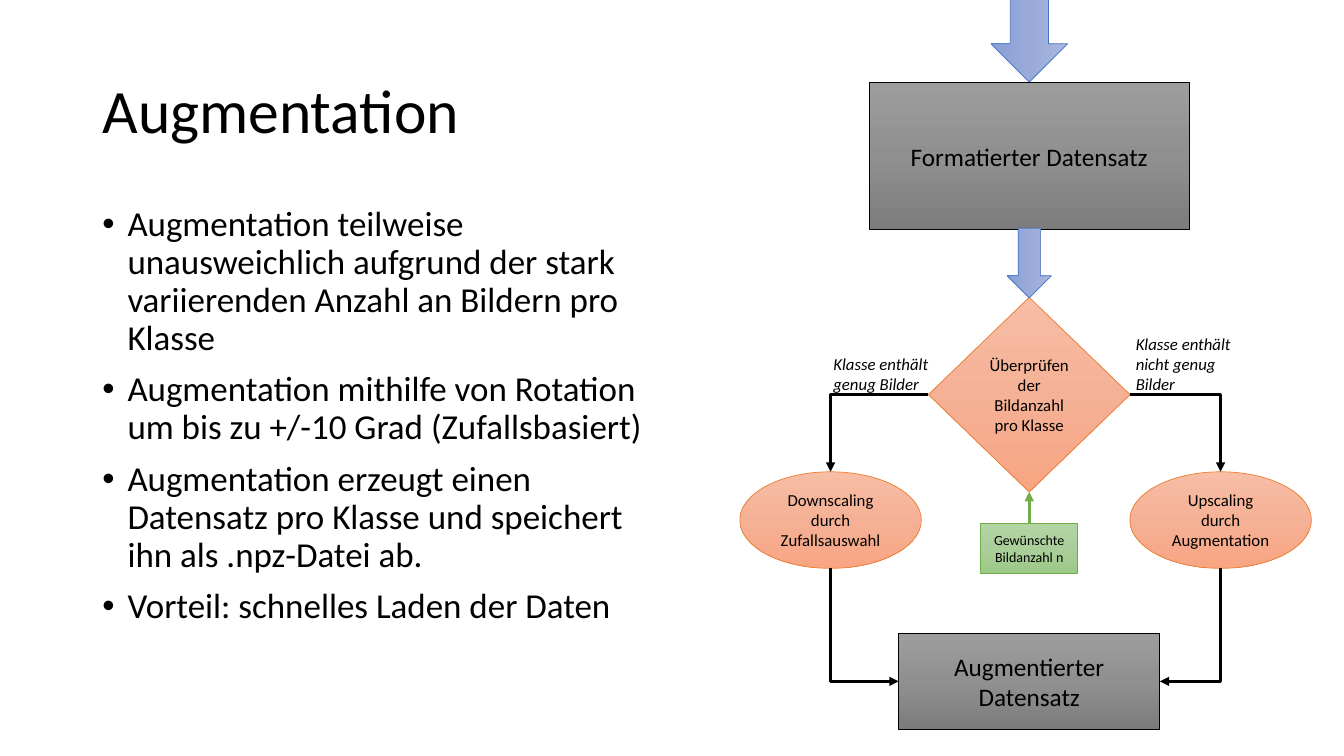
from copy import deepcopy
from lxml.etree import SubElement
from pptx import Presentation
from pptx.dml.color import RGBColor
from pptx.enum.shapes import MSO_CONNECTOR, MSO_SHAPE
from pptx.enum.text import MSO_ANCHOR, PP_ALIGN
from pptx.oxml.ns import qn
from pptx.util import Pt


def paint(code):
    return RGBColor.from_string(code)


class Chart:
    font = "Calibri"
    ink = "000000"
    looks = {
        "blue": (("A8B7DF", "9AABD9", "889ED7"), "4472C4"),
        "gray": (("9D9D9D", "909090", "7C7C7C"), "000000"),
        "coral": (("F7BDA5", "F5B196", "F8A582"), "ED7D31"),
        "green": (("B5D5A7", "AACE9A", "9CC987"), "70AD47"),
    }

    def __init__(self, slide):
        self.slide = slide

    def letter(self, frame, lines, size, align=PP_ALIGN.LEFT, slant=False):
        frame.word_wrap = True
        frame.text = "\n".join(lines)
        for para in frame.paragraphs:
            para.alignment = align
            for run in para.runs:
                run.font.name = self.font
                run.font.size = Pt(size)
                run.font.italic = slant
                run.font.color.rgb = paint(self.ink)

    def title(self, text, left, top, wide, high):
        box = self.slide.shapes.title
        box.left, box.top, box.width, box.height = Pt(left), Pt(top), Pt(wide), Pt(high)
        self.letter(box.text_frame, [text], 44)
        box.text_frame.vertical_anchor = MSO_ANCHOR.MIDDLE
        box.text_frame.paragraphs[0].line_spacing = 0.9

    def label(self, lines, left, top, wide, high, size=12, slant=True):
        box = self.slide.shapes.add_textbox(Pt(left), Pt(top), Pt(wide), Pt(high))
        self.letter(box.text_frame, lines, size, slant=slant)
        return box

    def bullets(self, lines, left, top, wide, high):
        box = self.label(lines, left, top, wide, high, 25, False)
        for para in box.text_frame.paragraphs:
            para.line_spacing = 0.9
            para.space_before = Pt(10)
            props = para._p.get_or_add_pPr()
            props.set("marL", str(Pt(18)))
            props.set("indent", str(Pt(-18)))
            SubElement(props, qn("a:buFont")).set("typeface", "Arial")
            SubElement(props, qn("a:buChar")).set("char", "•")

    def node(self, kind, look, mid, top, wide, high, text="", size=12, turn=0):
        shape = self.slide.shapes.add_shape(
            kind, Pt(mid - wide / 2), Pt(top), Pt(wide), Pt(high))
        shape.rotation = turn
        shape.shadow.inherit = False
        tints, edge = self.looks[look]
        shape.fill.gradient()
        shape.fill.gradient_angle = 270
        stops = shape._element.spPr.find(".//" + qn("a:gsLst"))
        stops.insert(1, deepcopy(stops[0]))
        for stop, tint, place in zip(shape.fill.gradient_stops, tints, (0, 0.5, 1)):
            stop.color.rgb = paint(tint)
            stop.position = place
        shape.line.color.rgb = paint(edge)
        shape.line.width = Pt(0.5)
        if text:
            self.letter(shape.text_frame, [text], size, PP_ALIGN.CENTER)
            shape.text_frame.vertical_anchor = MSO_ANCHOR.MIDDLE
        return shape

    def arrow(self, kind, start, end, color):
        line = self.slide.shapes.add_connector(kind, *map(Pt, start + end))
        line.line.color.rgb = paint(color)
        line.line.width = Pt(2.25)
        props = line._element.spPr
        SubElement(props.find(qn("a:ln")), qn("a:tailEnd")).set("type", "triangle")
        SubElement(props, qn("a:effectLst"))
        return line

    def bend(self, start, end, upright=False):
        turn = 0
        if upright:
            (x1, y1), (x2, y2) = start, end
            turn = 90 if x2 < x1 else 270
            side = 1 if x2 < x1 else -1
            mid_x, mid_y = (x1 + x2) / 2, (y1 + y2) / 2
            half_w, half_h = side * (y2 - y1) / 2, abs(x2 - x1) / 2
            start = (mid_x - half_w, mid_y - half_h)
            end = (mid_x + half_w, mid_y + half_h)
        line = self.arrow(MSO_CONNECTOR.ELBOW, start, end, self.ink)
        props = line._element.spPr
        props.find(qn("a:prstGeom")).set("prst", "bentConnector2")
        if turn:
            props.find(qn("a:xfrm")).set("rot", str(turn * 60000))

    def link(self, first, side, last, goal, start, end, color):
        line = self.arrow(MSO_CONNECTOR.STRAIGHT, start, end, color)
        line.begin_connect(first, side)
        line.end_connect(last, goal)


def main():
    deck = Presentation()
    deck.slide_width, deck.slide_height = Pt(960), Pt(540)
    chart = Chart(deck.slides.add_slide(deck.slide_layouts[5]))

    chart.title("Augmentation", 66, 28.8, 828, 104.4)
    chart.bullets([
        "Augmentation teilweise unausweichlich aufgrund der stark variierenden Anzahl an Bildern pro Klasse",
        "Augmentation mithilfe von Rotation um bis zu +/-10 Grad (Zufallsbasiert)",
        "Augmentation erzeugt einen Datensatz pro Klasse und speichert ihn als .npz-Datei ab.",
        "Vorteil: schnelles Laden der Daten",
    ], 66, 144, 414, 342.7)

    axis, left, right = 735.2, 593.3, 871.9
    rect, oval = MSO_SHAPE.RECTANGLE, MSO_SHAPE.OVAL
    chart.node(MSO_SHAPE.RIGHT_ARROW, "blue", axis, -3.6, 69.8, 54.7, turn=90)
    chart.node(rect, "gray", axis, 59.2, 228.4, 104.6, "Formatierter Datensatz", 18)
    check = chart.node(MSO_SHAPE.DIAMOND, "coral", axis, 212.4, 144, 139,
                       "Überprüfen der Bildanzahl pro Klasse")
    chart.node(MSO_SHAPE.RIGHT_ARROW, "blue", axis, 172.1, 49.7, 31.7, turn=90)
    chart.node(rect, "gray", axis, 452.2, 186.5, 69.1, "Augmentierter Datensatz", 18)
    chart.node(oval, "coral", right, 337, 129.6, 69, "Upscaling durch Augmentation")
    chart.node(oval, "coral", left, 337, 129.6, 69, "Downscaling durch Zufallsauswahl")

    for mid, side in ((left, -1), (right, 1)):
        chart.bend((axis + side * 72, 282), (mid, 337))
        chart.bend((mid, 406), (axis + side * 93.25, 486.7), True)

    chart.label(["Klasse enthält genug Bilder"], 588.2, 249.1, 92.2, 36)
    chart.label(["Klasse enthält nicht genug Bilder"], 804.2, 234.7, 92.2, 51.1)
    count = chart.node(rect, "green", axis, 373.7, 69.4, 36, "Gewünschte Bildanzahl n", 10)
    chart.link(count, 0, check, 2, (axis, 373.7), (axis, 351.4), "70AD47")

    deck.save("out.pptx")


if __name__ == "__main__":
    main()
